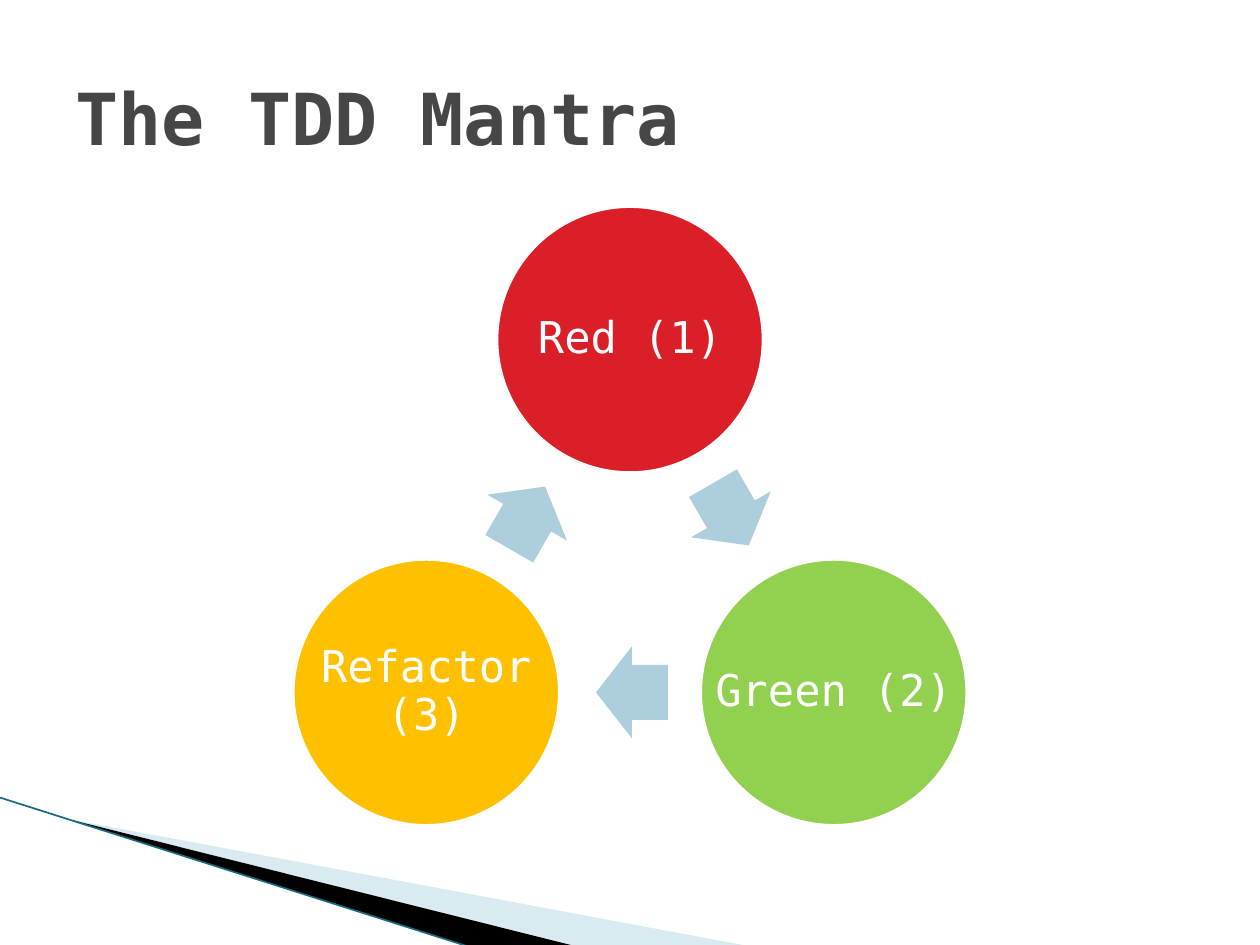
import math
from dataclasses import dataclass

import lxml.etree
import pptx
import pptx.dml.color
import pptx.enum.shapes
import pptx.enum.text
import pptx.oxml.ns
import pptx.util

Inches = pptx.util.Inches
Shapes = pptx.enum.shapes.MSO_SHAPE
Align = pptx.enum.text.PP_ALIGN


@dataclass(frozen=True)
class Theme:
    font: str = "DejaVu Sans Mono"
    title_size: float = 41
    label_size: float = 25
    title: str = "464646"
    white: str = "FFFFFF"
    red: str = "DA1F28"
    green: str = "92D050"
    amber: str = "FFC000"
    arrow: str = "ADCEDC"
    pale_wedge: str = "A0CBDC"
    dark_wedge: str = "000000"
    edge: str = "16697F"


THEME = Theme()


def rgb(value):
    return pptx.dml.color.RGBColor.from_string(value)


def add_child(parent, tag, **attributes):
    return lxml.etree.SubElement(parent, pptx.oxml.ns.qn(tag), **attributes)


def style_shape(shape, fill, line=None, line_width=1, opacity=100):
    shape.shadow.inherit = False
    shape.fill.solid()
    shape.fill.fore_color.rgb = rgb(fill)
    if opacity < 100:
        color = shape.fill._xPr.find(".//" + pptx.oxml.ns.qn("a:srgbClr"))
        add_child(color, "a:alpha", val=str(opacity * 1000))
    if line:
        shape.line.color.rgb = rgb(line)
        shape.line.width = pptx.util.Pt(line_width)
    else:
        shape.line.fill.background()


def add_text(slide, box, text, size, color, bold=False, align=Align.LEFT,
             inset=(0.1, 0.05), line_spacing=1.0):
    shape = slide.shapes.add_textbox(*map(Inches, box))
    frame = shape.text_frame
    frame.word_wrap = True
    frame.vertical_anchor = pptx.enum.text.MSO_ANCHOR.MIDDLE
    frame.margin_left = frame.margin_right = Inches(inset[0])
    frame.margin_top = frame.margin_bottom = Inches(inset[1])
    paragraph = frame.paragraphs[0]
    paragraph.alignment = align
    paragraph.line_spacing = line_spacing
    run = paragraph.add_run()
    run.text = text
    run.font.name = THEME.font
    run.font.size = pptx.util.Pt(size)
    run.font.bold = bold
    run.font.color.rgb = rgb(color)


def add_wedge(slide, points, fill, opacity=100):
    points = [(Inches(x), Inches(y)) for x, y in points]
    builder = slide.shapes.build_freeform(*points[0])
    builder.add_line_segments(points[1:], close=True)
    style_shape(builder.convert_to_shape(), fill, opacity=opacity)


def add_corner_decoration(slide, box):
    left, top, width, height = box
    bottom = top + height
    start = (left + 0.54, top + 0.17)
    add_wedge(slide, [start, (left + 5.95, bottom), (left + 4.56, bottom)],
              THEME.pale_wedge, opacity=40)
    add_wedge(slide, [start, (left + 4.57, bottom), (left + 3.72, bottom)],
              THEME.dark_wedge)
    edge = slide.shapes.add_connector(
        pptx.enum.shapes.MSO_CONNECTOR.STRAIGHT,
        Inches(left), Inches(top), Inches(left + 3.71), Inches(bottom))
    edge.line.color.rgb = rgb(THEME.edge)
    edge.line.width = pptx.util.Pt(0.95)
    add_child(edge._element.spPr, "a:effectLst")


def add_cycle(slide, box, steps):
    left, top, width, height = box
    diameter = 2.15
    arrow_width, arrow_height, arrow_setback = 0.57, 0.73, 0.015
    turn = 360 / len(steps)
    radius = (height - diameter) / (1 + math.cos(math.radians(turn / 2)))
    center_x, center_y = left + width / 2, top + diameter / 2 + radius

    def point_on_circle(distance, degrees):
        angle = math.radians(degrees)
        return (center_x + distance * math.sin(angle),
                center_y - distance * math.cos(angle))

    for index, (label, fill) in enumerate(steps):
        x, y = point_on_circle(radius, index * turn)
        circle_box = (x - diameter / 2, y - diameter / 2, diameter, diameter)
        circle = slide.shapes.add_shape(Shapes.OVAL, *map(Inches, circle_box))
        style_shape(circle, fill, line=THEME.white, line_width=4.33)
        add_text(slide, circle_box, label, THEME.label_size, THEME.white,
                 align=Align.CENTER, inset=(0.03, 0.03), line_spacing=0.9)

        halfway = (index + 0.5) * turn
        x, y = point_on_circle(radius * math.cos(math.radians(turn / 2)), halfway)
        x -= arrow_setback * math.cos(math.radians(halfway))
        y -= arrow_setback * math.sin(math.radians(halfway))
        arrow = slide.shapes.add_shape(
            Shapes.RIGHT_ARROW, Inches(x - arrow_width / 2),
            Inches(y - arrow_height / 2), Inches(arrow_width), Inches(arrow_height))
        arrow.adjustments[0] = 0.6
        arrow.adjustments[1] = 0.5
        arrow.rotation = halfway
        style_shape(arrow, THEME.arrow)


def build_mantra_slide(presentation):
    slide = presentation.slides.add_slide(presentation.slide_layouts[6])
    add_corner_decoration(slide, (0, 6.33, 5.95, 1.18))
    add_text(slide, (0.5, 0.3, 9, 1.25), "The TDD Mantra",
             THEME.title_size, THEME.title, bold=True)
    add_cycle(slide, (2.31, 1.62, 5.38, 4.95), [
        ("Red (1)", THEME.red),
        ("Green (2)", THEME.green),
        ("Refactor (3)", THEME.amber),
    ])


presentation = pptx.Presentation()
presentation.slide_width = Inches(10)
presentation.slide_height = Inches(7.5)
build_mantra_slide(presentation)
presentation.save("out.pptx")
